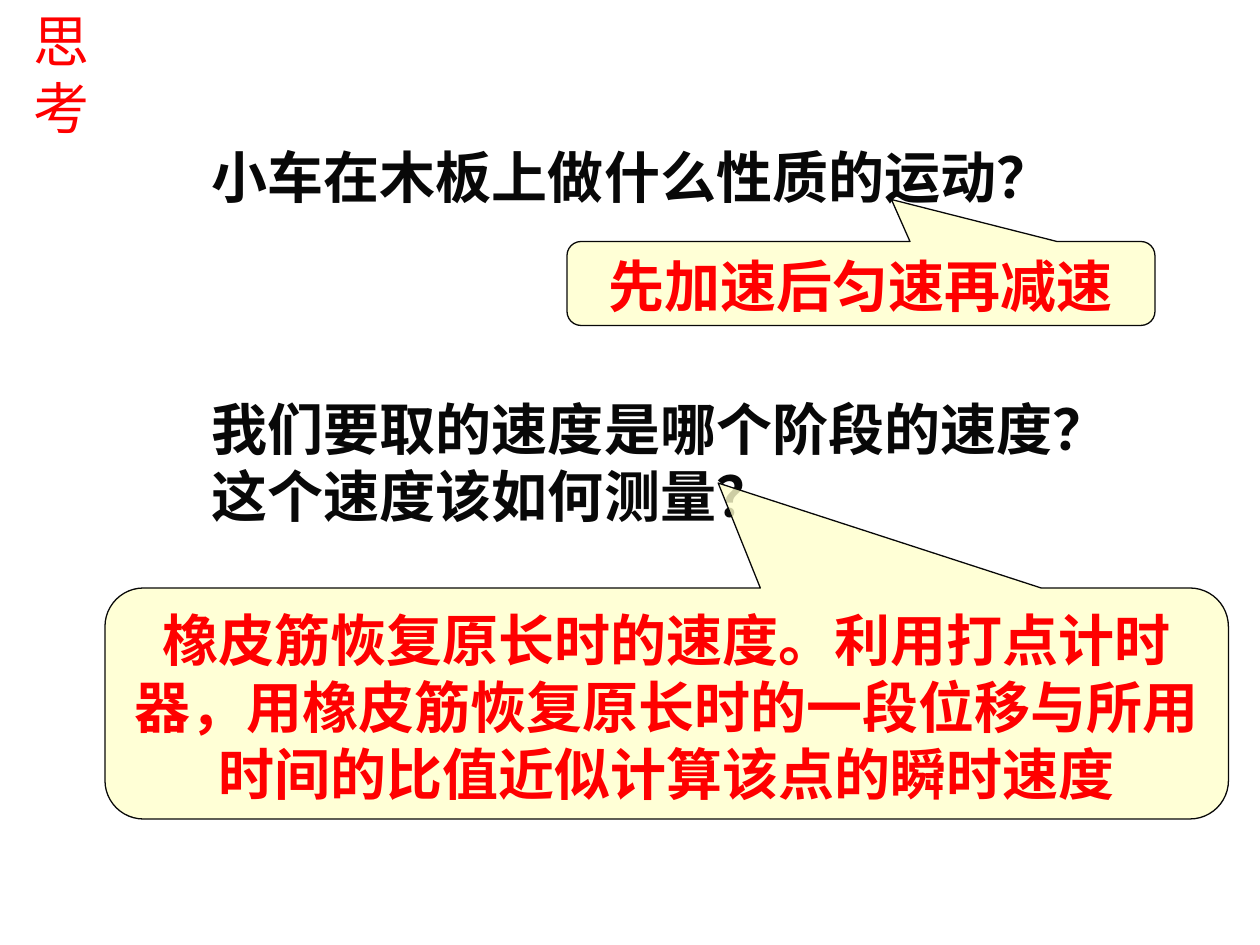
from dataclasses import dataclass

from lxml.etree import SubElement
from pptx import Presentation
from pptx.dml.color import RGBColor
from pptx.enum.shapes import MSO_SHAPE
from pptx.enum.text import MSO_ANCHOR, MSO_AUTO_SIZE, PP_ALIGN
from pptx.oxml.ns import qn
from pptx.util import Inches, Pt


@dataclass(frozen=True)
class Theme:
    font: str = "Arial"
    size: int = 32
    red: str = "FF0000"
    ink: str = "080808"
    paper: str = "FFFFFF"
    cream: str = "FFFFCC"
    opacity: int = 80
    line: float = 0.75


THEME = Theme()
UNIT = 1 / 12  # grid of 120 columns by 90 rows


def grid(*cells):
    return [Inches(n * UNIT) for n in cells]


def write(shape, text, color, bold=False, align=PP_ALIGN.LEFT):
    tf = shape.text_frame
    tf.word_wrap = True
    tf.vertical_anchor = MSO_ANCHOR.TOP
    p = tf.paragraphs[0]
    p.text = text
    p.alignment = align
    # Keep punctuation inside the margins
    p._p.get_or_add_pPr().set("hangingPunct", "0")
    p.font.name = THEME.font
    p.font.size = Pt(THEME.size)
    p.font.bold = bold
    p.font.color.rgb = RGBColor.from_string(color)


def add_panel(s, kind, cells, color):
    """Add a translucent shape without outline or shadow."""
    sp = s.shapes.add_shape(kind, *grid(*cells))
    sp.shadow.inherit = False
    sp.fill.solid()
    sp.fill.fore_color.rgb = RGBColor.from_string(color)
    clr = sp.fill._xPr.find(qn("a:solidFill"))[0]
    SubElement(clr, qn("a:alpha"), val=str(THEME.opacity * 1000))
    sp.line.fill.background()
    return sp


def add_heading(s, cells, text):
    write(s.shapes.add_textbox(*grid(*cells)), text, THEME.red)


def add_question(s, cells, text):
    sp = add_panel(s, MSO_SHAPE.RECTANGLE, cells, THEME.paper)
    write(sp, text, THEME.ink, bold=True)
    sp.text_frame.auto_size = MSO_AUTO_SIZE.SHAPE_TO_FIT_TEXT


def add_answer(s, cells, tip, text):
    """Add a callout whose pointer ends at the grid point tip."""
    sp = add_panel(s, MSO_SHAPE.ROUNDED_RECTANGULAR_CALLOUT, cells, THEME.cream)
    for i in (0, 1):
        start, length = cells[i], cells[i + 2]
        sp.adjustments[i] = (tip[i] - start) / length - 0.5
    sp.line.color.rgb = RGBColor.from_string(THEME.ink)
    sp.line.width = Pt(THEME.line)
    write(sp, text, THEME.red, bold=True, align=PP_ALIGN.CENTER)


def main():
    prs = Presentation()
    prs.slide_width, prs.slide_height = grid(120, 90)
    s = prs.slides.add_slide(prs.slide_layouts[6])

    # Heading
    add_heading(s, (2, 0, 7.5, 25), "思考")

    # First question and answer
    add_question(s, (19, 13, 89, 7.5), "小车在木板上做什么性质的运动？")
    add_answer(s, (54, 23, 56, 8), (84.9, 19), "先加速后匀速再减速")

    # Second question and answer
    add_question(s, (19, 37, 89, 14),
                 "我们要取的速度是哪个阶段的速度？这个速度该如何测量？")
    add_answer(s, (10, 56, 107, 22), (68.4, 46),
               "橡皮筋恢复原长时的速度。利用打点计时器，"
               "用橡皮筋恢复原长时的一段位移与所用时间的比值"
               "近似计算该点的瞬时速度")

    prs.save("out.pptx")


if __name__ == "__main__":
    main()
